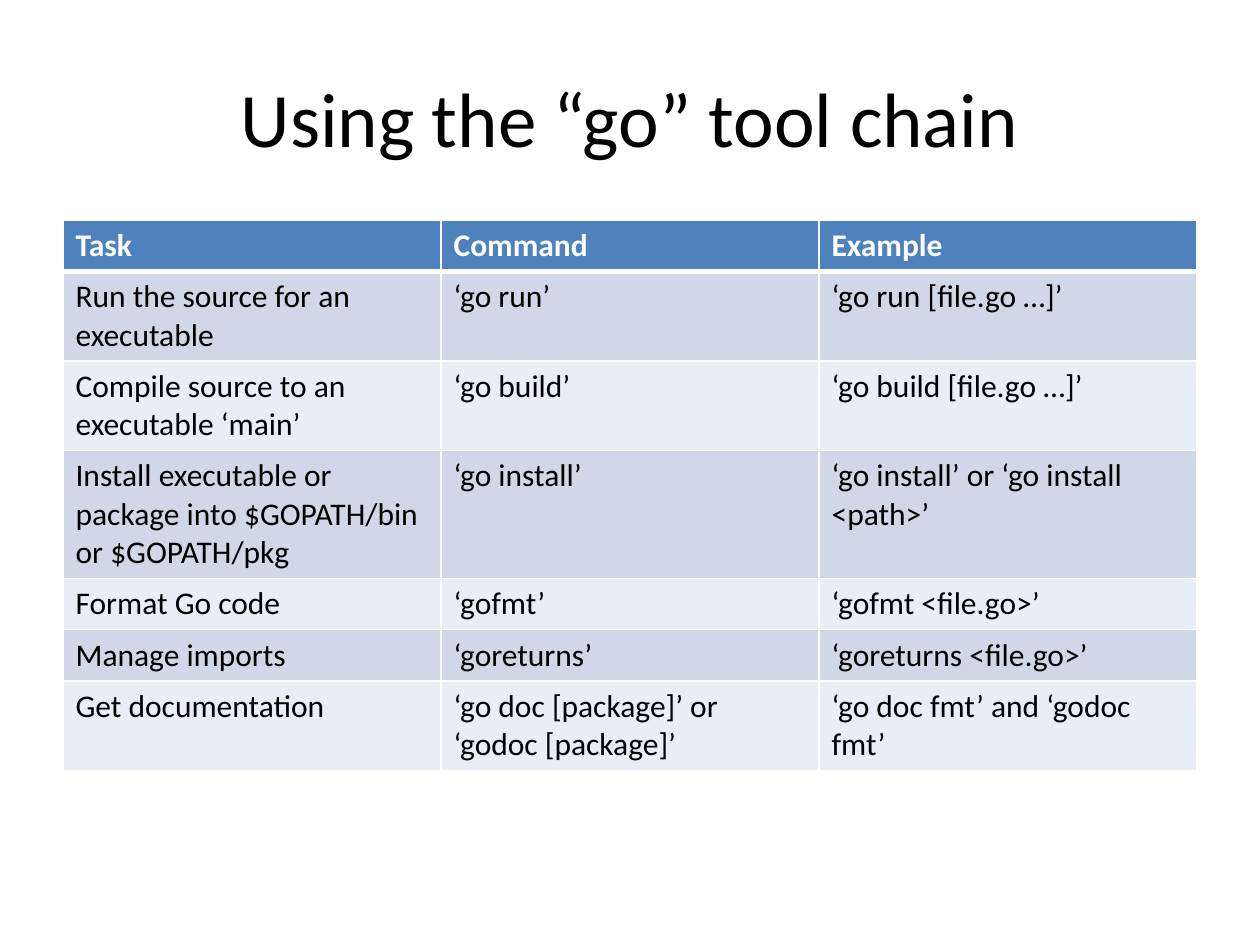
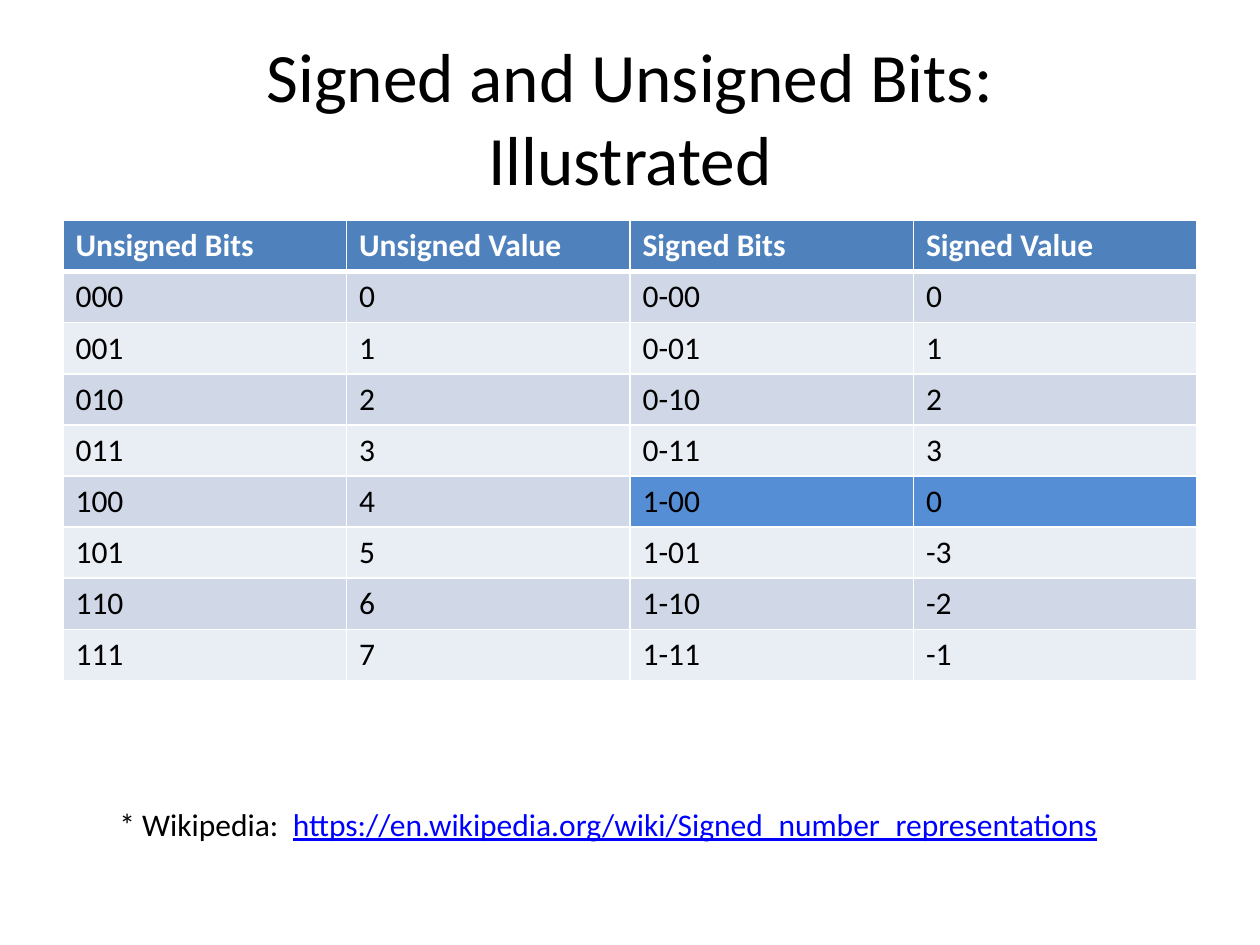
from lxml.etree import SubElement
from pptx import Presentation
from pptx.dml.color import RGBColor
from pptx.enum.text import MSO_ANCHOR, MSO_AUTO_SIZE, PP_ALIGN
from pptx.oxml.ns import qn
from pptx.util import Inches, Pt

BLACK = RGBColor(0x00, 0x00, 0x00)
WHITE = RGBColor(0xFF, 0xFF, 0xFF)
HEADER_BLUE = RGBColor(0x4F, 0x81, 0xBD)
BANDS = (RGBColor(0xD0, 0xD8, 0xE8), RGBColor(0xE9, 0xED, 0xF4))
HIGHLIGHT_BLUE = RGBColor(0x55, 0x8E, 0xD5)
LINK_BLUE = RGBColor(0x00, 0x00, 0xFF)

GRID_COLUMNS, GRID_ROWS = 20, 30
TITLE_BOX = (1, 1.2, 18, 5)
TABLE_LEFT, TABLE_TOP, TABLE_WIDTH, TABLE_ROW = 1, 7, 18, 1.62
FOOTNOTE_BOX = (1.7, 25.36, 16.14, 1.6)

TITLE_FORMAT = {"name": "Calibri", "size": Pt(44), "color": BLACK}
BODY_FORMAT = {"name": "Calibri", "size": Pt(18), "color": BLACK, "bold": False}
HEADER_FORMAT = BODY_FORMAT | {"color": WHITE, "bold": True}
LINK_FORMAT = BODY_FORMAT | {"color": LINK_BLUE, "underline": True}

TOOL_CHAIN = [
    ("Task", "Command", "Example"),
    ("Run the source for an executable", "‘go run’", "‘go run [file.go …]’"),
    ("Compile source to an executable ‘main’", "‘go build’", "‘go build [file.go …]’"),
    ("Install executable or package into $GOPATH/bin or $GOPATH/pkg",
     "‘go install’", "‘go install’ or ‘go install <path>’"),
    ("Format Go code", "‘gofmt’", "‘gofmt <file.go>’"),
    ("Manage imports", "‘goreturns’", "‘goreturns <file.go>’"),
    ("Get documentation", "‘go doc [package]’ or ‘godoc [package]’",
     "‘go doc fmt’ and ‘godoc fmt’"),
]

BITS = [
    ("Unsigned Bits", "Unsigned Value", "Signed Bits", "Signed Value"),
    ("000", "0", "0-00", "0"),
    ("001", "1", "0-01", "1"),
    ("010", "2", "0-10", "2"),
    ("011", "3", "0-11", "3"),
    ("100", "4", "1-00", "0"),
    ("101", "5", "1-01", "-3"),
    ("110", "6", "1-10", "-2"),
    ("111", "7", "1-11", "-1"),
]
NEGATIVE_ZERO = {(5, 2), (5, 3)}


def apply_format(font, values):
    for name, value in values.items():
        if name == "color":
            font.color.rgb = value
        else:
            setattr(font, name, value)


def add_borders(cell, widths):
    """Draw white cell borders; widths maps the side letters L, R, T, B to points."""
    properties = cell._tc.get_or_add_tcPr()
    for position, (side, width) in enumerate(widths.items()):
        line = SubElement(properties, qn(f"a:ln{side}"), w=str(Pt(width)))
        fill = SubElement(line, qn("a:solidFill"))
        SubElement(fill, qn("a:srgbClr"), val=str(WHITE))
        properties.insert(position, line)


class Deck:
    """Holds the presentation, its grid and the current slide."""

    def __init__(self):
        self.presentation = Presentation()
        self.presentation.slide_width = Inches(10)
        self.presentation.slide_height = Inches(7.5)
        self.slide = None

    def place(self, left, top, width, height):
        """Turn grid columns and rows into slide lengths."""
        column = self.presentation.slide_width / GRID_COLUMNS
        row = self.presentation.slide_height / GRID_ROWS
        return (round(left * column), round(top * row),
                round(width * column), round(height * row))

    def add_slide(self, title, size=44):
        layout = self.presentation.slide_layouts.get_by_name("Title Only")
        self.slide = self.presentation.slides.add_slide(layout)
        shape = self.slide.shapes.title
        shape.left, shape.top, shape.width, shape.height = self.place(*TITLE_BOX)
        frame = shape.text_frame
        frame.auto_size = MSO_AUTO_SIZE.NONE
        frame.vertical_anchor = MSO_ANCHOR.MIDDLE
        paragraph = frame.paragraphs[0]
        paragraph.text = title
        paragraph.alignment = PP_ALIGN.CENTER
        for run in paragraph.runs:
            apply_format(run.font, TITLE_FORMAT | {"size": Pt(size)})

    def add_table(self, rows, highlighted=()):
        box = self.place(TABLE_LEFT, TABLE_TOP, TABLE_WIDTH, TABLE_ROW * len(rows))
        table = self.slide.shapes.add_table(len(rows), len(rows[0]), *box).table
        for row_index, row in enumerate(rows):
            is_header = row_index == 0
            for column_index, text in enumerate(row):
                cell = table.cell(row_index, column_index)
                color = HEADER_BLUE if is_header else BANDS[(row_index - 1) % 2]
                if (row_index, column_index) in highlighted:
                    color = HIGHLIGHT_BLUE
                cell.fill.solid()
                cell.fill.fore_color.rgb = color
                add_borders(cell, {"L": 1, "R": 1, "T": 3 if row_index == 1 else 1,
                                   "B": 3 if is_header else 1})
                cell.text = text
                apply_format(cell.text_frame.paragraphs[0].runs[0].font,
                             HEADER_FORMAT if is_header else BODY_FORMAT)

    def add_footnote(self, *parts):
        """Add one line of text from (text, format) parts."""
        shape = self.slide.shapes.add_textbox(*self.place(*FOOTNOTE_BOX))
        frame = shape.text_frame
        frame.word_wrap = False
        frame.auto_size = MSO_AUTO_SIZE.SHAPE_TO_FIT_TEXT
        for text, values in parts:
            run = frame.paragraphs[0].add_run()
            run.text = text
            apply_format(run.font, values)


def main():
    deck = Deck()

    deck.add_slide("Using the “go” tool chain")
    deck.add_table(TOOL_CHAIN)

    deck.add_slide("Signed and Unsigned Bits:\vIllustrated", size=39.6)
    deck.add_table(BITS, highlighted=NEGATIVE_ZERO)
    deck.add_footnote(
        ("* Wikipedia:  ", BODY_FORMAT),
        ("https://en.wikipedia.org/wiki/Signed_number_representations", LINK_FORMAT),
    )

    deck.presentation.save("out.pptx")


if __name__ == "__main__":
    main()
